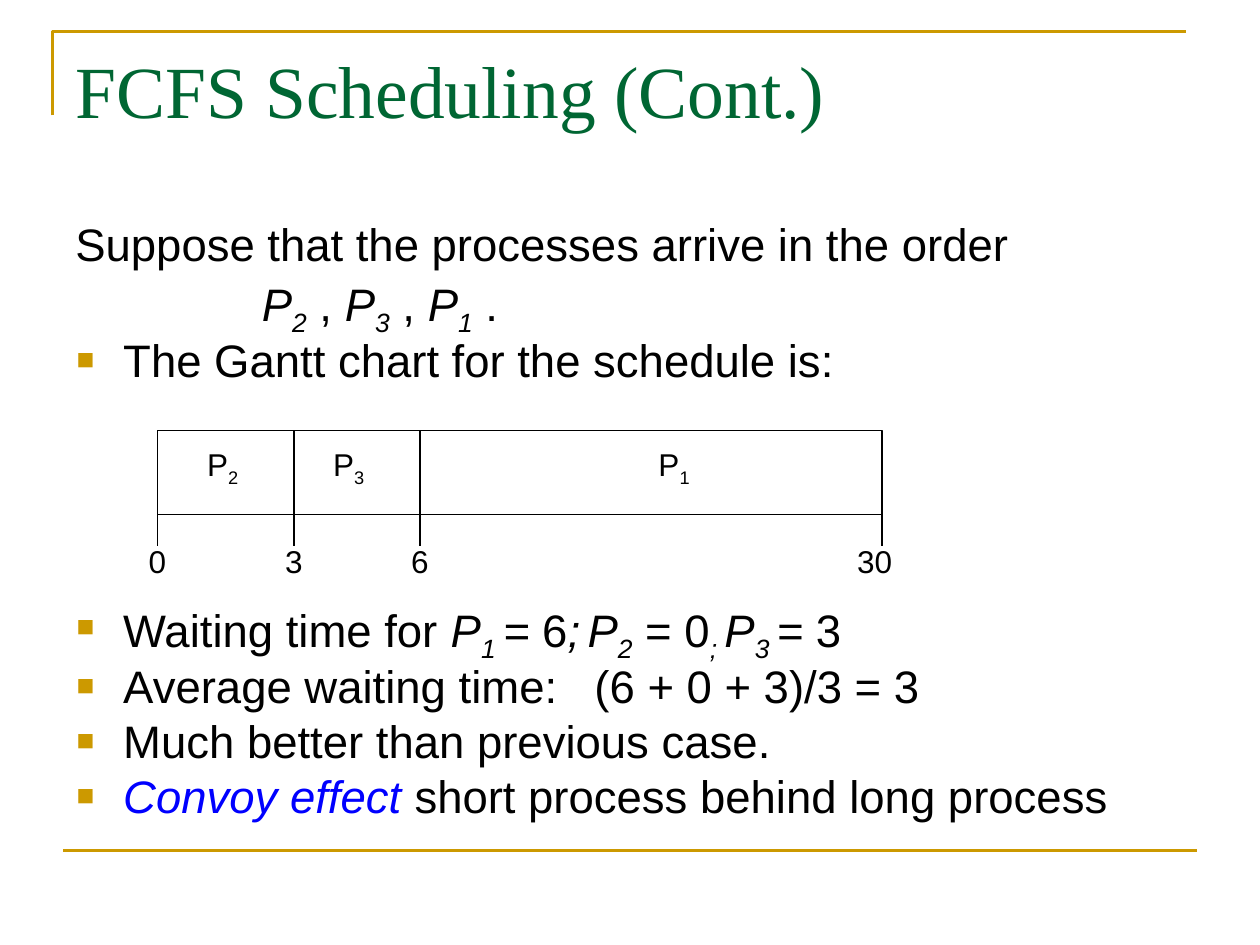
from dataclasses import dataclass

from lxml.etree import SubElement
from pptx import Presentation
from pptx.dml.color import RGBColor
from pptx.enum.shapes import MSO_CONNECTOR, MSO_SHAPE
from pptx.enum.text import MSO_ANCHOR, PP_ALIGN
from pptx.oxml.ns import qn
from pptx.util import Inches, Pt


@dataclass(frozen=True)
class Theme:
    gold: RGBColor = RGBColor(0xCC, 0x99, 0x00)
    green: RGBColor = RGBColor(0x00, 0x66, 0x33)
    blue: RGBColor = RGBColor(0x00, 0x00, 0xFF)
    black: RGBColor = RGBColor(0x00, 0x00, 0x00)
    white: RGBColor = RGBColor(0xFF, 0xFF, 0xFF)
    title_font: str = "Times New Roman"
    body_font: str = "Arial"
    title_size: int = 42
    body_size: int = 26
    label_size: int = 18
    frame_width: float = 1.5
    chart_width: float = 0.75


theme = Theme()
presentation = Presentation()
presentation.slide_width = Inches(10)
presentation.slide_height = Inches(7.5)
slide = presentation.slides.add_slide(presentation.slide_layouts[6])
shapes = slide.shapes
column = presentation.slide_width // 120
row = presentation.slide_height // 90


def add_line(left, top, right, bottom, color, width):
    line = shapes.add_connector(
        MSO_CONNECTOR.STRAIGHT, left * column, top * row, right * column, bottom * row
    )
    line.line.color.rgb = color
    line.line.width = Pt(width)
    SubElement(line._element.spPr, qn("a:effectLst"))


def write(paragraph, pieces, font, size, color):
    paragraph.font.name = font
    paragraph.font.size = Pt(size)
    paragraph.font.color.rgb = color
    for text, style in pieces:
        run = paragraph.add_run()
        run.text = text
        if "i" in style:
            run.font.italic = True
        if "blue" in style:
            run.font.color.rgb = theme.blue
        if "sub" in style:
            run._r.get_or_add_rPr().set("baseline", "-25000")


corner = shapes.build_freeform(5 * column, 11 * row)
corner.add_line_segments([(5 * column, 3 * row), (113 * column, 3 * row)], close=False)
frame = corner.convert_to_shape()
frame.shadow.inherit = False
frame.fill.background()
frame.line.color.rgb = theme.gold
frame.line.width = Pt(theme.frame_width)
add_line(6, 81, 114, 81, theme.gold, theme.frame_width)

title = shapes.add_textbox(6 * column, int(3.7 * row), 108 * column, 15 * row)
title.text_frame.word_wrap = True
write(title.text_frame.paragraphs[0], [("FCFS Scheduling (Cont.)", "")],
      theme.title_font, theme.title_size, theme.green)

body_lines = [
    (0, 0, False, [("Suppose that the processes arrive in the order", "")]),
    (1.48, 6.5, False, [
        ("P", "i"), ("2", "i sub"), (" , ", ""), ("P", "i"), ("3", "i sub"),
        (" , ", ""), ("P", "i"), ("1", "i sub"), (" .", ""),
    ]),
    (0.38, 6.5, True, [("The Gantt chart for the schedule is:", "")]),
    (0.38, 126.5, True, [
        ("Waiting time for ", ""), ("P", "i"), ("1 ", "i sub"), ("=", "i"), (" 6", ""),
        (";", "i"), (" ", "i sub"), ("P", "i"), ("2", "i sub"), (" = 0", ""),
        ("; ", "i sub"), ("P", "i"), ("3 ", "i sub"), ("= ", "i"), ("3", ""),
    ]),
    (0.38, 6.5, True, [("Average waiting time:\t(6 + 0 + 3)/3 = 3", "")]),
    (0.38, 6.5, True, [("Much better than previous case.", "")]),
    (0.38, 6.5, True, [("Convoy effect ", "i blue"), ("short process behind long process", "")]),
]
body = shapes.add_textbox(6 * column, 21 * row, 108 * column, 63 * row)
body.text_frame.word_wrap = True
for index, (margin, space, bulleted, pieces) in enumerate(body_lines):
    paragraph = body.text_frame.paragraphs[0] if index == 0 else body.text_frame.add_paragraph()
    paragraph.line_spacing = 0.8
    paragraph.space_before = Pt(space)
    properties = paragraph._p.get_or_add_pPr()
    properties.set("marL", str(Inches(margin)))
    if bulleted:
        properties.set("indent", str(Inches(-0.37)))
        bullet_color = SubElement(properties, qn("a:buClr"))
        SubElement(bullet_color, qn("a:srgbClr"), val=str(theme.gold))
        SubElement(properties, qn("a:buSzPct"), val="65000")
        SubElement(properties, qn("a:buFont"), typeface=theme.body_font)
        SubElement(properties, qn("a:buChar"), char="■")
        tabs = SubElement(properties, qn("a:tabLst"))
        SubElement(tabs, qn("a:tab"), pos=str(Inches(4.12)), algn="l")
    write(paragraph, pieces, theme.body_font, theme.body_size, theme.black)

ticks = [("0", 15, 15), ("3", 28, 28), ("6", 40, 40), ("30", 84, 83.3)]
processes = [("2", 21.2), ("3", 33.2), ("1", 64.2)]
chart_top, chart_bottom, tick_bottom = 41, 49, 52

bar = shapes.add_shape(MSO_SHAPE.RECTANGLE, 15 * column, chart_top * row,
                       69 * column, (chart_bottom - chart_top) * row)
bar.shadow.inherit = False
bar.fill.solid()
bar.fill.fore_color.rgb = theme.white
bar.line.color.rgb = theme.black
bar.line.width = Pt(theme.chart_width)

for _, position, _ in ticks:
    add_line(position, chart_bottom, position, tick_bottom, theme.black, theme.chart_width)
for _, position, _ in ticks[1:-1]:
    add_line(position, chart_top, position, chart_bottom, theme.black, theme.chart_width)

labels = [(center, 41.8, 5.3, [("P", ""), (number, "sub")]) for number, center in processes]
labels += [(center, 51, 4.8, [(time, "")]) for time, _, center in ticks]
for center, top, height, pieces in labels:
    width = 7
    label = shapes.add_textbox(int((center - width / 2) * column), int(top * row),
                               width * column, int(height * row))
    label.text_frame.word_wrap = False
    label.text_frame.vertical_anchor = MSO_ANCHOR.MIDDLE
    paragraph = label.text_frame.paragraphs[0]
    paragraph.alignment = PP_ALIGN.CENTER
    write(paragraph, pieces, theme.body_font, theme.label_size, theme.black)

presentation.save("out.pptx")
